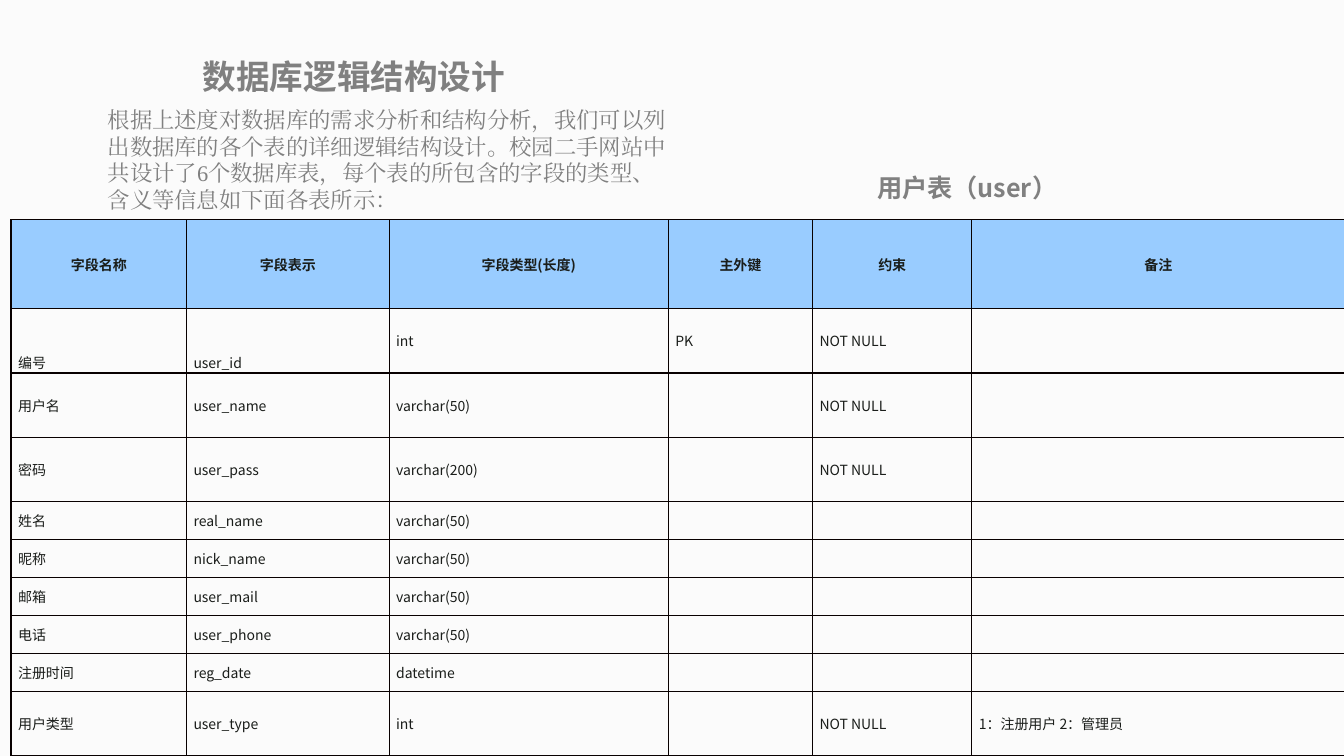
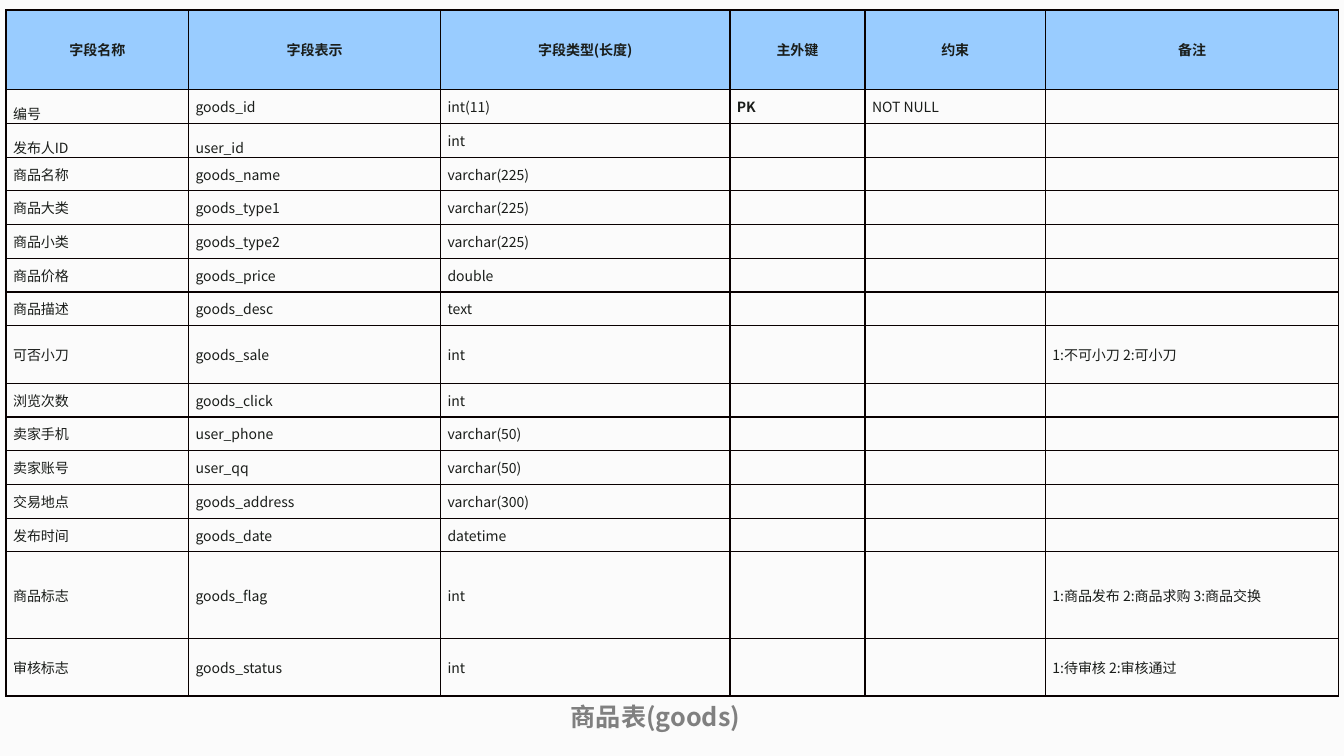
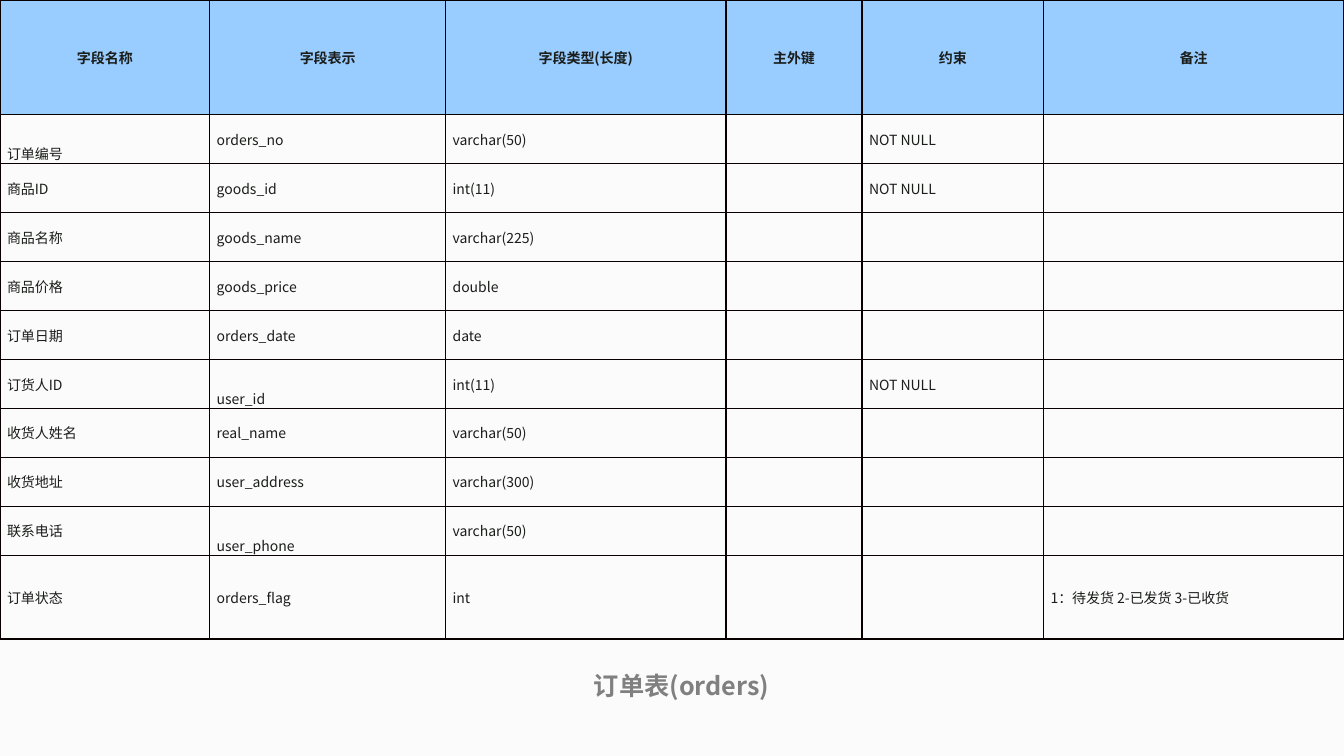
from dataclasses import dataclass
from typing import NamedTuple

from lxml.etree import SubElement
from pptx import Presentation
from pptx.dml.color import RGBColor
from pptx.enum.text import MSO_ANCHOR, MSO_AUTO_SIZE, PP_ALIGN
from pptx.oxml.ns import qn
from pptx.slide import Slide
from pptx.table import _Cell as Cell
from pptx.text.text import TextFrame, _Paragraph as Paragraph
from pptx.util import Inches, Pt

TITLE_ONLY_LAYOUT = 5
HEADERS = ("字段名称", "字段表示", "字段类型(长度)", "主外键", "约束", "备注")
INTRODUCTION = (
    "根据上述度对数据库的需求分析和结构分析，我们可以列出数据库的各个表的详细逻辑结构设计。"
    "校园二手网站中共设计了6个数据库表，每个表的所包含的字段的类型、含义等信息如下面各表所示："
)


class TextStyle(NamedTuple):
    size: int
    color: str
    font: str = "Noto Sans CJK SC"
    bold: bool = False


@dataclass(frozen=True)
class Theme:
    background: str = "FBFBFB"
    header_fill: str = "99CCFF"
    border: str = "080000"
    border_width: float = 1
    cell_margin: float = 0.07
    title: TextStyle = TextStyle(24, "808080", bold=True)
    caption: TextStyle = TextStyle(18, "808080", bold=True)
    introduction: TextStyle = TextStyle(16, "808080", "Times New Roman")
    header: TextStyle = TextStyle(10, "1A1D1A", bold=True)
    cell: TextStyle = TextStyle(10, "1A1D1A")


THEME = Theme()


class Box(NamedTuple):
    left: float
    top: float
    width: float
    height: float

    def lengths(self) -> tuple[Inches, ...]:
        return tuple(Inches(value) for value in self)


class Field(NamedTuple):
    label: str
    name: str
    data_type: str
    key: str = ""
    constraint: str = ""
    remark: str = ""
    height: float | None = None
    bottom_columns: tuple[int, ...] = ()
    bold_columns: tuple[int, ...] = ()

    def texts(self) -> tuple[str, ...]:
        return (self.label, self.name, self.data_type,
                self.key, self.constraint, self.remark)


@dataclass(frozen=True)
class Schema:
    box: Box
    column_widths: tuple[float, ...]
    header_height: float
    fields: tuple[Field, ...]

    def row_heights(self) -> list[float]:
        """Fields without a height of their own share what the others leave."""
        fixed = [field.height for field in self.fields if field.height]
        free = self.box.height - self.header_height - sum(fixed)
        shared = free / (len(self.fields) - len(fixed))
        return [self.header_height, *(field.height or shared for field in self.fields)]


REQUIRED = "NOT NULL"

USER_SCHEMA = Schema(
    Box(0.11, 2.18, 13.22, 5.32), (1.74, 2.01, 2.77, 1.43, 1.58, 3.7), 0.88,
    (
        Field("编号", "user_id", "int", "PK", REQUIRED, height=0.64, bottom_columns=(0, 1)),
        Field("用户名", "user_name", "varchar(50)", constraint=REQUIRED, height=0.64),
        Field("密码", "user_pass", "varchar(200)", constraint=REQUIRED, height=0.64),
        Field("姓名", "real_name", "varchar(50)"),
        Field("昵称", "nick_name", "varchar(50)"),
        Field("邮箱", "user_mail", "varchar(50)"),
        Field("电话", "user_phone", "varchar(50)"),
        Field("注册时间", "reg_date", "datetime"),
        Field("用户类型", "user_type", "int", constraint=REQUIRED,
              remark="1：注册用户 2：管理员", height=0.64),
    ),
)

GOODS_SCHEMA = Schema(
    Box(0.06, 0.1, 13.22, 6.81), (1.81, 2.5, 2.87, 1.34, 1.79, 2.91), 0.79,
    (
        Field("编号", "goods_id", "int(11)", "PK", REQUIRED,
              bottom_columns=(0,), bold_columns=(3,)),
        Field("发布人ID", "user_id", "int", bottom_columns=(0, 1)),
        Field("商品名称", "goods_name", "varchar(225)"),
        Field("商品大类", "goods_type1", "varchar(225)"),
        Field("商品小类", "goods_type2", "varchar(225)"),
        Field("商品价格", "goods_price", "double"),
        Field("商品描述", "goods_desc", "text"),
        Field("可否小刀", "goods_sale", "int", remark="1:不可小刀 2:可小刀", height=0.57),
        Field("浏览次数", "goods_click", "int"),
        Field("卖家手机", "user_phone", "varchar(50)"),
        Field("卖家账号", "user_qq", "varchar(50)"),
        Field("交易地点", "goods_address", "varchar(300)"),
        Field("发布时间", "goods_date", "datetime"),
        Field("商品标志", "goods_flag", "int",
              remark="1:商品发布 2:商品求购 3:商品交换", height=0.86),
        Field("审核标志", "goods_status", "int", remark="1:待审核 2:审核通过", height=0.57),
    ),
)

ORDERS_SCHEMA = Schema(
    Box(0, 0, 13.33, 6.34), (2.08, 2.34, 2.78, 1.35, 1.8, 2.98), 1.14,
    (
        Field("订单编号", "orders_no", "varchar(50)", constraint=REQUIRED, bottom_columns=(0,)),
        Field("商品ID", "goods_id", "int(11)", constraint=REQUIRED),
        Field("商品名称", "goods_name", "varchar(225)"),
        Field("商品价格", "goods_price", "double"),
        Field("订单日期", "orders_date", "date"),
        Field("订货人ID", "user_id", "int(11)", constraint=REQUIRED, bottom_columns=(1,)),
        Field("收货人姓名", "real_name", "varchar(50)"),
        Field("收货地址", "user_address", "varchar(300)"),
        Field("联系电话", "user_phone", "varchar(50)", bottom_columns=(1,)),
        Field("订单状态", "orders_flag", "int", remark="1：待发货 2-已发货 3-已收货", height=0.83),
    ),
)


def style_paragraph(paragraph: Paragraph, style: TextStyle, alignment: PP_ALIGN) -> None:
    paragraph.alignment = alignment
    font = paragraph.font
    font.size = Pt(style.size)
    font.bold = style.bold
    font.color.rgb = RGBColor.from_string(style.color)
    font.name = style.font
    default_properties = paragraph._p.get_or_add_pPr().find(qn("a:defRPr"))
    SubElement(default_properties, qn("a:ea"), typeface=style.font)


def fill_frame(frame: TextFrame, text: str, style: TextStyle) -> None:
    frame.text = text
    frame.word_wrap = True
    frame.auto_size = MSO_AUTO_SIZE.SHAPE_TO_FIT_TEXT
    frame.vertical_anchor = MSO_ANCHOR.TOP
    style_paragraph(frame.paragraphs[0], style, PP_ALIGN.LEFT)


def add_text(slide: Slide, box: Box, text: str, style: TextStyle) -> None:
    fill_frame(slide.shapes.add_textbox(*box.lengths()).text_frame, text, style)


def add_titled_slide(presentation: Presentation, title: str, box: Box, style: TextStyle) -> Slide:
    slide = presentation.slides.add_slide(presentation.slide_layouts[TITLE_ONLY_LAYOUT])
    placeholder = slide.shapes.title
    placeholder.left, placeholder.top, placeholder.width, placeholder.height = box.lengths()
    fill_frame(placeholder.text_frame, title, style)
    return slide


def add_borders(cell: Cell) -> None:
    properties = cell._tc.get_or_add_tcPr()
    for side in ("a:lnL", "a:lnR", "a:lnT", "a:lnB"):
        line = SubElement(properties, qn(side), w=str(Pt(THEME.border_width)))
        fill = SubElement(line, qn("a:solidFill"))
        SubElement(fill, qn("a:srgbClr"), val=THEME.border)


def format_cell(cell: Cell, text: str, style: TextStyle, alignment: PP_ALIGN,
                anchor: MSO_ANCHOR) -> None:
    cell.text = text
    cell.margin_left = cell.margin_right = Inches(THEME.cell_margin)
    cell.margin_top = cell.margin_bottom = 0
    cell.vertical_anchor = anchor
    add_borders(cell)
    style_paragraph(cell.text_frame.paragraphs[0], style, alignment)


def add_schema_table(slide: Slide, schema: Schema) -> None:
    heights = schema.row_heights()
    table = slide.shapes.add_table(len(heights), len(HEADERS), *schema.box.lengths()).table
    table.first_row = table.horz_banding = False
    for column, width in zip(table.columns, schema.column_widths):
        column.width = Inches(width)
    for row, height in zip(table.rows, heights):
        row.height = Inches(height)

    for column, text in enumerate(HEADERS):
        cell = table.cell(0, column)
        format_cell(cell, text, THEME.header, PP_ALIGN.CENTER, MSO_ANCHOR.MIDDLE)
        cell.fill.solid()
        cell.fill.fore_color.rgb = RGBColor.from_string(THEME.header_fill)
    for row, field in enumerate(schema.fields, start=1):
        for column, text in enumerate(field.texts()):
            cell = table.cell(row, column)
            style = THEME.header if column in field.bold_columns else THEME.cell
            anchor = MSO_ANCHOR.BOTTOM if column in field.bottom_columns else MSO_ANCHOR.MIDDLE
            format_cell(cell, text, style, PP_ALIGN.LEFT, anchor)
            cell.fill.background()


def main() -> None:
    presentation = Presentation()
    presentation.slide_width = Inches(13.33)
    presentation.slide_height = Inches(7.5)
    background = presentation.slide_master.background.fill
    background.solid()
    background.fore_color.rgb = RGBColor.from_string(THEME.background)

    user_slide = add_titled_slide(
        presentation, "数据库逻辑结构设计", Box(1.91, 0.5, 4.14, 0.5), THEME.title)
    add_text(user_slide, Box(0.97, 1, 5.8, 1.18), INTRODUCTION, THEME.introduction)
    add_schema_table(user_slide, USER_SCHEMA)
    add_text(user_slide, Box(8.6, 1.66, 2.38, 0.4), "用户表（user）", THEME.caption)

    goods_slide = add_titled_slide(
        presentation, "商品表(goods)", Box(5.56, 6.91, 2.21, 0.4), THEME.caption)
    add_schema_table(goods_slide, GOODS_SCHEMA)

    orders_slide = add_titled_slide(
        presentation, "订单表(orders)", Box(5.79, 6.6, 2.48, 0.4), THEME.caption)
    add_schema_table(orders_slide, ORDERS_SCHEMA)

    presentation.save("out.pptx")


if __name__ == "__main__":
    main()
